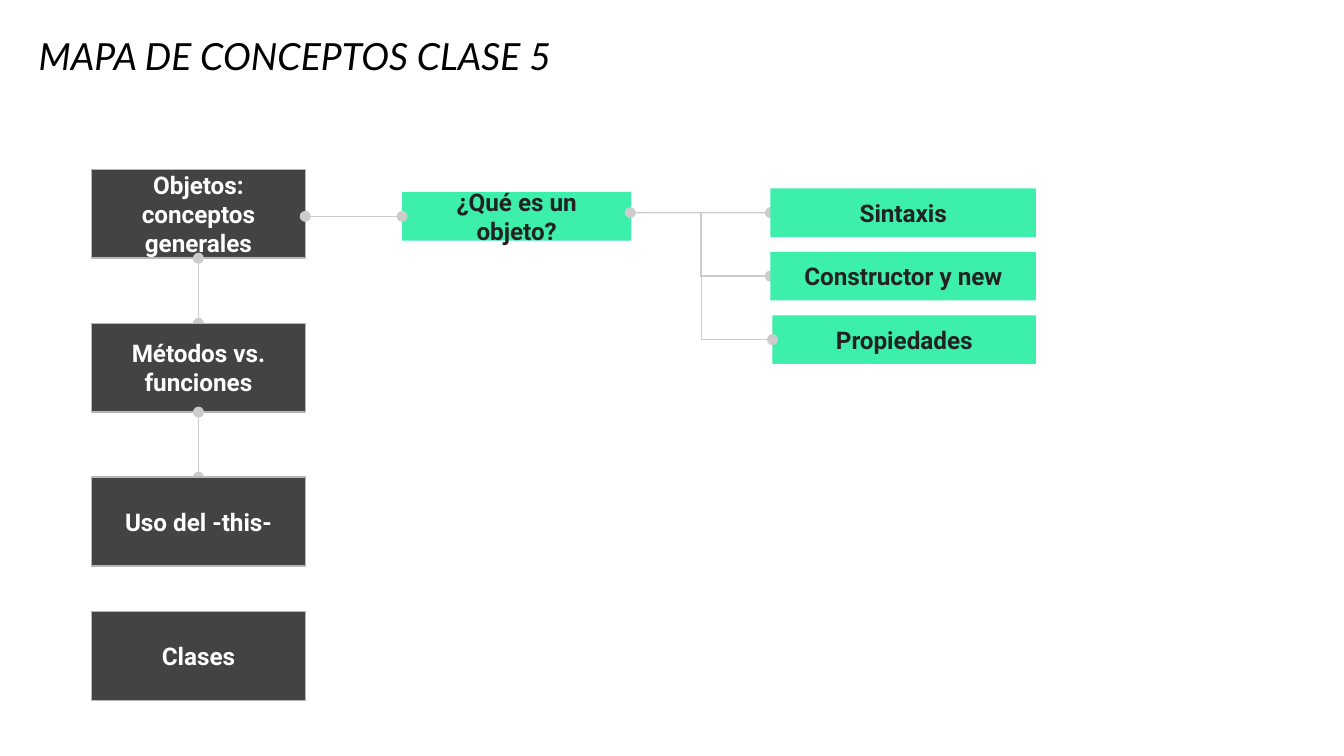
"""Builds the concept map slide for class 5."""
from dataclasses import dataclass

from lxml import etree
from pptx import Presentation
from pptx.dml.color import RGBColor
from pptx.enum.shapes import MSO_CONNECTOR, MSO_SHAPE
from pptx.enum.text import MSO_ANCHOR, PP_ALIGN
from pptx.oxml.ns import qn
from pptx.util import Cm, Pt

STRAIGHT, ELBOW = MSO_CONNECTOR.STRAIGHT, MSO_CONNECTOR.ELBOW
RECTANGLE = MSO_SHAPE.RECTANGLE
MIDDLE, BOTTOM = MSO_ANCHOR.MIDDLE, MSO_ANCHOR.BOTTOM
LEFT, CENTER = PP_ALIGN.LEFT, PP_ALIGN.CENTER
TOP_SITE, LEFT_SITE, BOTTOM_SITE = 0, 1, 2


@dataclass(frozen=True)
class Theme:
    title_font: str = "Lato"
    body_font: str = "Roboto"
    title_size: int = 20
    body_size: int = 13
    line_width: float = 0.75
    inset: float = 0.25
    title: str = "000000"
    dark: str = "434343"
    dark_border: str = "B7B7B7"
    dark_text: str = "FFFFFF"
    green: str = "3CEFAB"
    green_text: str = "222222"
    link: str = "CCCCCC"


class ConceptMap:
    def __init__(self, slide, theme):
        self.slide = slide
        self.theme = theme

    def label(self, shape, text, font, size, color, anchor, align):
        frame = shape.text_frame
        frame.text = text
        frame.word_wrap = True
        frame.vertical_anchor = anchor
        frame.margin_left = frame.margin_right = Cm(self.theme.inset)
        frame.margin_top = frame.margin_bottom = Cm(self.theme.inset)
        paragraph = frame.paragraphs[0]
        paragraph.alignment = align
        style = paragraph.runs[0].font
        style.name = font
        style.size = Pt(size)
        style.color.rgb = RGBColor.from_string(color)
        return style

    def title(self, text, left, top, width, height):
        heading = self.slide.shapes.add_textbox(Cm(left), Cm(top), Cm(width), Cm(height))
        theme = self.theme
        style = self.label(heading, text, theme.title_font, theme.title_size,
                           theme.title, BOTTOM, LEFT)
        style.italic = True

    def box(self, text, left, top, width, height, fill, color, border=None):
        box = self.slide.shapes.add_shape(RECTANGLE, Cm(left), Cm(top), Cm(width), Cm(height))
        theme = self.theme
        box.shadow.inherit = False
        box.fill.solid()
        box.fill.fore_color.rgb = RGBColor.from_string(fill)
        if border:
            box.line.color.rgb = RGBColor.from_string(border)
            box.line.width = Pt(theme.line_width)
        else:
            box.line.fill.background()
        style = self.label(box, text, theme.body_font, theme.body_size, color, MIDDLE, CENTER)
        style.bold = True
        return box

    def topic(self, text, top):
        theme = self.theme
        return self.box(text, 1.73, top, 4.04, 1.68, theme.dark, theme.dark_text,
                        theme.dark_border)

    def detail(self, text, left, top, width):
        theme = self.theme
        return self.box(text, left, top, width, 0.92, theme.green, theme.green_text)

    def link(self, start, end, kind=STRAIGHT, dots=("headEnd", "tailEnd")):
        link = self.slide.shapes.add_connector(kind, *(Cm(value) for value in (*start, *end)))
        link.line.color.rgb = RGBColor.from_string(self.theme.link)
        link.line.width = Pt(self.theme.line_width)
        properties = link._element.spPr
        outline = properties.find(qn("a:ln"))
        for dot in dots:
            etree.SubElement(outline, qn(f"a:{dot}"), type="oval")
        etree.SubElement(properties, qn("a:effectLst"))
        return link


def main():
    deck = Presentation()
    deck.slide_width, deck.slide_height = Cm(25.4), Cm(14.29)
    concept_map = ConceptMap(deck.slides.add_slide(deck.slide_layouts[6]), Theme())
    concept_map.title("MAPA DE CONCEPTOS CLASE 5", 0.48, 0.56, 20.98, 1.17)

    previous = concept_map.topic("Objetos: conceptos generales", 3.2)
    question = concept_map.detail("¿Qué es un objeto?", 7.6, 3.63, 4.33)
    concept_map.link((5.77, 4.09), (7.6, 4.09)).end_connect(question, LEFT_SITE)

    for text, top in (("Métodos vs. funciones", 6.11), ("Uso del -this-", 9.02)):
        descent = concept_map.link((3.75, top - 1.23), (3.75, top))
        topic = concept_map.topic(text, top)
        descent.begin_connect(previous, BOTTOM_SITE)
        descent.end_connect(topic, TOP_SITE)
        previous = topic
    concept_map.topic("Clases", 11.56)

    fork, right_edge, first_top, step = (11.91, 4.02), 19.58, 3.56, 1.2
    syntax_link = concept_map.link(fork, (14.56, 4.02))
    syntax = concept_map.detail("Sintaxis", 14.56, first_top, right_edge - 14.56)
    syntax_link.end_connect(syntax, LEFT_SITE)

    concept_map.link(fork, (14.56, 5.22), ELBOW, ("tailEnd",))
    concept_map.detail("Constructor y new", 14.56, first_top + step, right_edge - 14.56)

    concept_map.detail("Propiedades", 14.6, first_top + 2 * step, right_edge - 14.6)
    concept_map.link(fork, (14.6, 6.42), ELBOW, ("tailEnd",))

    deck.save("out.pptx")


if __name__ == "__main__":
    main()
